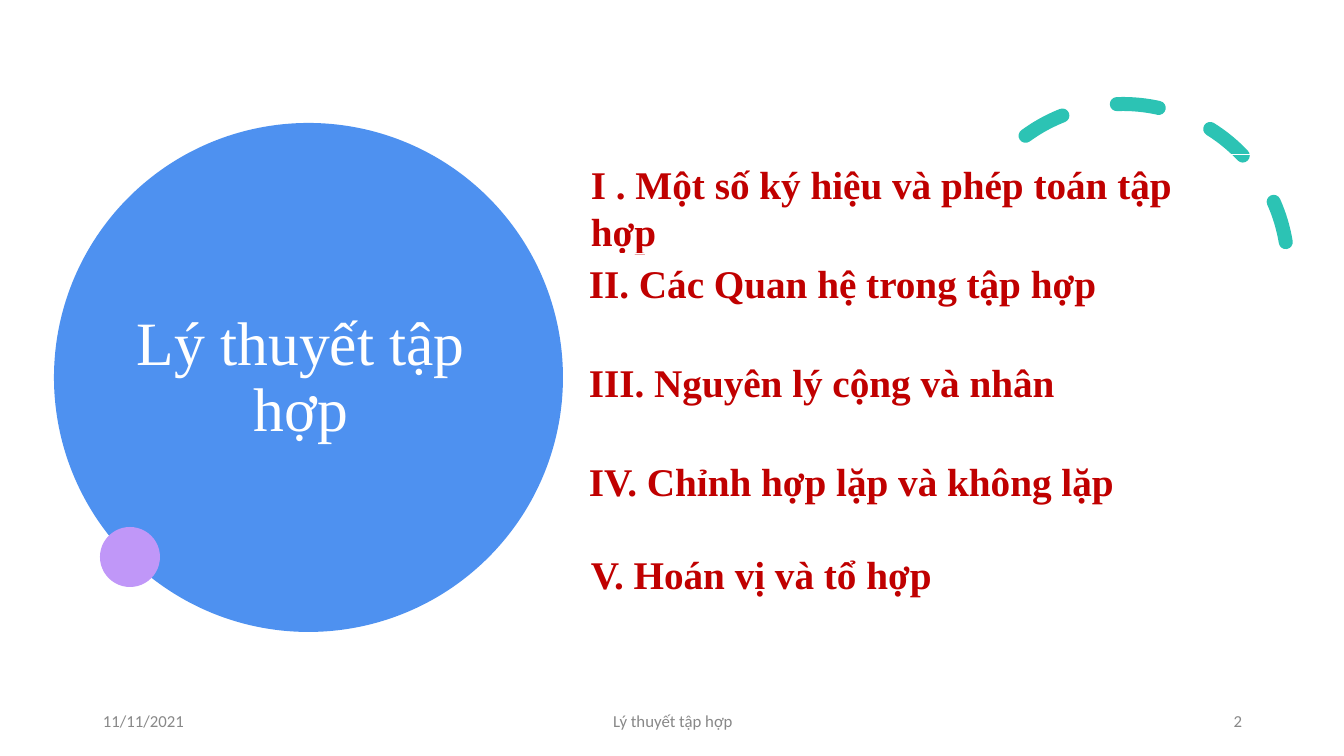
"""Build the contents slide of a set theory lecture."""
from dataclasses import dataclass

from pptx import Presentation
from pptx.dml.color import RGBColor
from pptx.enum.dml import MSO_LINE
from pptx.enum.shapes import MSO_SHAPE
from pptx.enum.text import MSO_ANCHOR, MSO_AUTO_SIZE, PP_ALIGN
from pptx.util import Pt

LEFT, CENTER, RIGHT = PP_ALIGN.LEFT, PP_ALIGN.CENTER, PP_ALIGN.RIGHT
TOP, MIDDLE = MSO_ANCHOR.TOP, MSO_ANCHOR.MIDDLE
OVAL, ARC, RECTANGLE = MSO_SHAPE.OVAL, MSO_SHAPE.ARC, MSO_SHAPE.RECTANGLE
TITLE_ONLY = 5

TITLE = "Lý thuyết tập hợp"
TITLE_BOX = (74, 154, 454, 449)
CIRCLE_BOX = (54, 123, 509, 509)
DOT_BOX = (100, 527, 60, 60)
ARC_BOX = (958, 104, 330, 330)
ARC_ANGLES = (158.17, 17.81)
ARC_ROTATION = 330.2

TOPICS = [
    ("I . Một số ký hiệu và phép toán tập hợp", 581, 155),
    ("II. Các Quan hệ trong tập hợp", 579, 254),
    ("III. Nguyên lý cộng và nhân", 579, 353),
    ("IV. Chỉnh hợp lặp và không lặp", 579, 452),
    ("V. Hoán vị và tổ hợp", 581, 545),
]
TOPIC_WIDTH, TOPIC_HEIGHT = 671, 57

FOOTERS = [
    ("11/11/2021", 93, 302, LEFT),
    (TITLE, 446, 454, CENTER),
    ("2", 950, 302, RIGHT),
]
FOOTER_TOP, FOOTER_HEIGHT = 701, 40

SLIDE_WIDTH, SLIDE_HEIGHT = 1344, 756
EMU_PER_PX = 12192000 / SLIDE_WIDTH


@dataclass(frozen=True)
class Theme:
    """Colours, fonts and type sizes."""
    white: str = "FFFFFF"
    blue: str = "4E91F0"
    teal: str = "2CC3B4"
    purple: str = "C097F8"
    red: str = "C00000"
    gray: str = "888888"
    serif: str = "Times New Roman"
    sans: str = "Calibri"
    title_size: int = 44
    topic_size: int = 28
    footer_size: int = 12


THEME = Theme()


def emu(*lengths):
    """Turn px lengths into EMU."""
    return [round(length * EMU_PER_PX) for length in lengths]


def write_text(shape, text, *, size, color, font=THEME.serif, bold=False,
               align=LEFT, anchor=MIDDLE, spacing=None):
    """Write one formatted paragraph into a shape."""
    frame = shape.text_frame
    frame.word_wrap = True
    frame.vertical_anchor = anchor
    paragraph = frame.paragraphs[0]
    paragraph.alignment = align
    paragraph.line_spacing = spacing
    run = paragraph.add_run()
    run.text = text
    run.font.name = font
    run.font.size = Pt(size)
    run.font.bold = bold
    run.font.color.rgb = RGBColor.from_string(color)


def add_figure(slide, kind, box, *, fill=None, line=None, weight=0.75):
    """Add a preset shape with an optional fill and outline."""
    shape = slide.shapes.add_shape(kind, *emu(*box))
    shape.shadow.inherit = False
    if fill:
        shape.fill.solid()
        shape.fill.fore_color.rgb = RGBColor.from_string(fill)
    else:
        shape.fill.background()
    if line:
        shape.line.color.rgb = RGBColor.from_string(line)
        shape.line.width = Pt(weight)
    else:
        shape.line.fill.background()
    return shape


def add_decoration(slide):
    """Add the large circle, the dashed arc and the small dot."""
    add_figure(slide, OVAL, CIRCLE_BOX, fill=THEME.blue)
    arc = add_figure(slide, ARC, ARC_BOX, line=THEME.teal, weight=10)
    arc.rotation = ARC_ROTATION
    for index, angle in enumerate(ARC_ANGLES):
        arc.adjustments[index] = angle
    arc.line.dash_style = MSO_LINE.DASH
    arc.line.fill
    arc.element.spPr.ln.set("cap", "rnd")
    add_figure(slide, OVAL, DOT_BOX, fill=THEME.purple)


def place_title(slide):
    """Move the title in front of the circle and format it."""
    title = slide.shapes.title
    title.left, title.top, title.width, title.height = emu(*TITLE_BOX)
    title.element.getparent().append(title.element)
    write_text(title, TITLE, size=THEME.title_size, color=THEME.white,
               align=CENTER, spacing=0.9)


def add_footers(slide):
    """Add the date, the footer and the slide number."""
    for text, left, width, align in FOOTERS:
        box = slide.shapes.add_textbox(
            *emu(left, FOOTER_TOP, width, FOOTER_HEIGHT))
        write_text(box, text, size=THEME.footer_size, color=THEME.gray,
                   font=THEME.sans, align=align)


def add_topics(slide):
    """Add the outlined topic boxes."""
    for text, left, top in TOPICS:
        box = add_figure(slide, RECTANGLE,
                         (left, top, TOPIC_WIDTH, TOPIC_HEIGHT),
                         line=THEME.white)
        write_text(box, text, size=THEME.topic_size, color=THEME.red,
                   bold=True, anchor=TOP)
        box.text_frame.auto_size = MSO_AUTO_SIZE.SHAPE_TO_FIT_TEXT


def main():
    """Build and save the slide."""
    presentation = Presentation()
    presentation.slide_width, presentation.slide_height = emu(
        SLIDE_WIDTH, SLIDE_HEIGHT)
    slide = presentation.slides.add_slide(
        presentation.slide_layouts[TITLE_ONLY])
    add_decoration(slide)
    place_title(slide)
    add_footers(slide)
    add_topics(slide)
    presentation.save("out.pptx")


if __name__ == "__main__":
    main()
